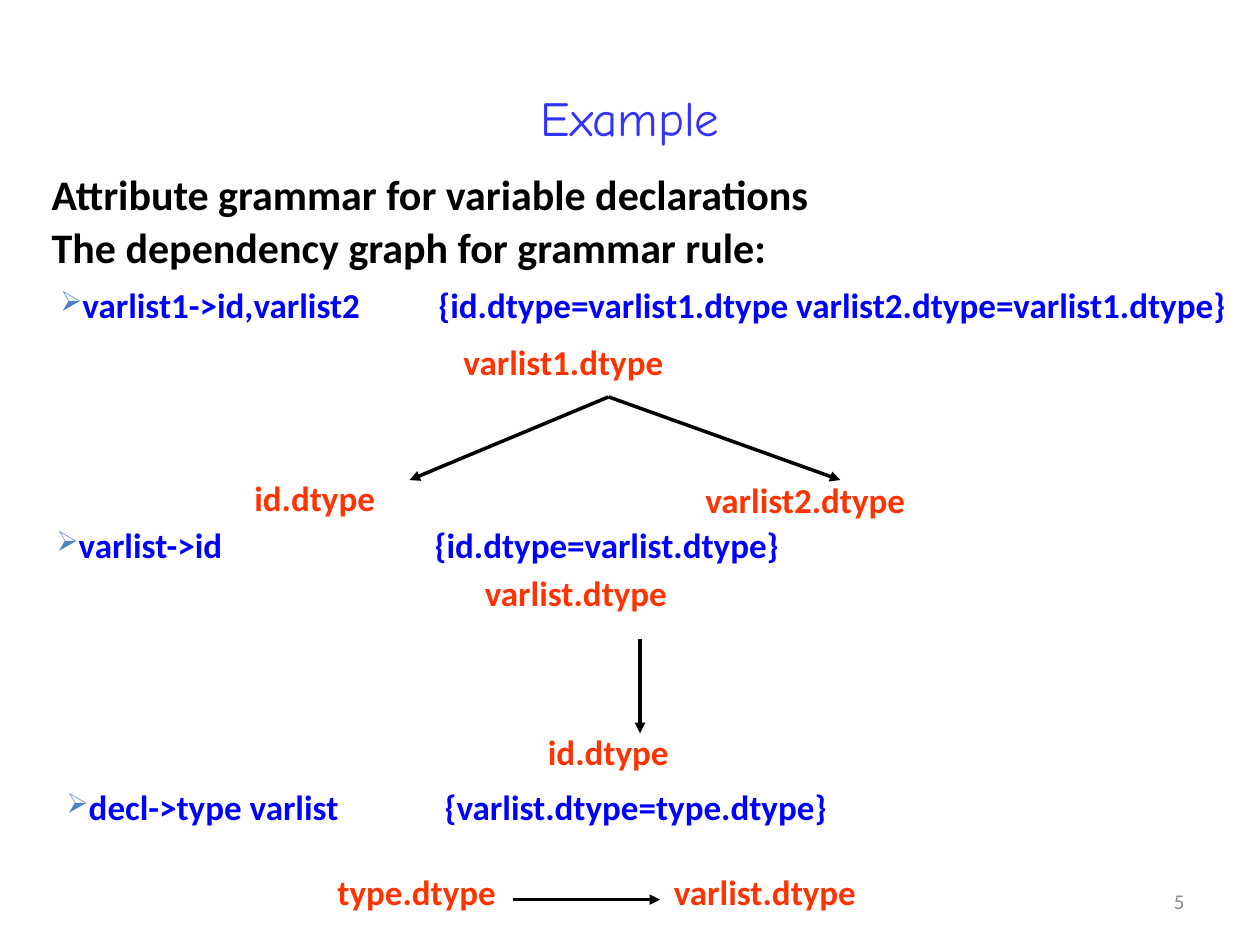
"""Build a slide of dependency graphs for an attribute grammar."""
import dataclasses
import typing

import lxml.etree
import pptx
import pptx.dml.color
import pptx.enum.shapes
import pptx.enum.text
import pptx.oxml.ns
import pptx.util

Inches = pptx.util.Inches
Pt = pptx.util.Pt
Align = pptx.enum.text.PP_ALIGN
Anchor = pptx.enum.text.MSO_ANCHOR

COLORS = {"head": "3333FF", "text": "000000", "node": "FF3300", "rule": "0000FF",
          "mark": "4F81BD", "page": "8C8C8C"}
FONTS = {
    "head": {"name": "Comic Neue", "size": Pt(28), "bold": False},
    "text": {"name": "Calibri", "size": Pt(24), "bold": True},
    "node": {"name": "Calibri", "size": Pt(20), "bold": True},
    "rule": {"name": "Calibri", "size": Pt(20), "bold": True},
    "page": {"name": "Calibri", "size": Pt(12), "bold": False},
}


@dataclasses.dataclass
class Label:
    text: str
    left: float
    top: float
    width: float
    height: float = 0.44


@dataclasses.dataclass
class Arrow:
    start: tuple[float, float]
    end: tuple[float, float]


RULES = [
    Label("varlist1->id,varlist2\t{id.dtype=varlist1.dtype varlist2.dtype=varlist1.dtype}",
          0.38, 2.24, 9.49, 0.4),
    Label("varlist->id\t{id.dtype=varlist.dtype}", 0.35, 4.14, 8.42, 0.4),
    Label("decl->type varlist\t{varlist.dtype=type.dtype}", 0.43, 6.22, 8.58, 0.4),
]
NODES = [
    Label("varlist1.dtype", 3.58, 2.65, 2.92),
    Label("id.dtype", 1.92, 3.73, 2.5),
    Label("varlist2.dtype", 5.5, 3.75, 2.5),
    Label("varlist.dtype", 3.75, 4.49, 2.5),
    Label("id.dtype", 4.25, 5.75, 1.75),
    Label("type.dtype", 2.58, 6.86, 2.5),
    Label("varlist.dtype", 5.25, 6.86, 2.5),
]
ARROWS = [
    Arrow((4.83, 3.15), (3.25, 3.81)),
    Arrow((4.83, 3.15), (6.67, 3.81)),
    Arrow((5.08, 5.07), (5.08, 5.82)),
    Arrow((4.07, 7.14), (5.24, 7.14)),
]


def add_tag(parent: typing.Any, tag: str, **attrs: str) -> typing.Any:
    return lxml.etree.SubElement(parent, pptx.oxml.ns.qn(tag), attrs)


def set_all(item: typing.Any, values: dict[str, typing.Any]) -> None:
    for key, value in values.items():
        setattr(item, key, value)


def set_font(para: typing.Any, kind: str) -> None:
    set_all(para.font, FONTS[kind])
    para.font.color.rgb = pptx.dml.color.RGBColor.from_string(COLORS[kind])


def place(shape: typing.Any, label: Label) -> None:
    for side in ("left", "top", "width", "height"):
        setattr(shape, side, Inches(getattr(label, side)))


def add_text(slide: typing.Any, label: Label) -> typing.Any:
    box = slide.shapes.add_textbox(0, 0, 0, 0)
    place(box, label)
    box.text_frame.word_wrap = True
    box.text_frame.text = label.text
    return box.text_frame


def add_node(slide: typing.Any, label: Label) -> None:
    set_font(add_text(slide, label).paragraphs[0], "node")


def add_rule(slide: typing.Any, label: Label) -> None:
    para = add_text(slide, label).paragraphs[0]
    props = para._p.get_or_add_pPr()
    add_tag(add_tag(props, "a:buClr"), "a:srgbClr", val=COLORS["mark"])
    add_tag(props, "a:buSzPct", val="80000")
    add_tag(props, "a:buChar", char="➢")
    add_tag(add_tag(props, "a:tabLst"), "a:tab", pos=str(Inches(3)), algn="l")
    para.line_spacing = 0.9
    set_font(para, "rule")


def add_arrow(slide: typing.Any, arrow: Arrow) -> None:
    ends = [Inches(value) for value in (*arrow.start, *arrow.end)]
    line = slide.shapes.add_connector(pptx.enum.shapes.MSO_CONNECTOR.STRAIGHT, *ends)
    line.line.width = Pt(2)
    line.line.color.rgb = pptx.dml.color.RGBColor.from_string(COLORS["text"])
    add_tag(line.get_or_add_ln(), "a:tailEnd", type="triangle")
    add_tag(line._element.spPr, "a:effectLst")


def fill_head(slide: typing.Any) -> None:
    title = slide.shapes.title
    place(title, Label("", 0.5, 0.3, 9, 1.25))
    title.text_frame.text = "Example"
    title.text_frame.vertical_anchor = Anchor.MIDDLE
    para = title.text_frame.paragraphs[0]
    para.alignment = Align.CENTER
    set_font(para, "head")


def fill_body(slide: typing.Any) -> None:
    body = slide.placeholders[1]
    place(body, Label("", 0.31, 1.33, 9.47, 0.93))
    frame = body.text_frame
    frame.text = ("Attribute grammar for variable declarations\n"
                  "The dependency graph for grammar rule:")
    frame.auto_size = pptx.enum.text.MSO_AUTO_SIZE.NONE
    for index, para in enumerate(frame.paragraphs):
        props = para._p.get_or_add_pPr()
        props.set("marL", str(Inches(0.38)))
        props.set("indent", str(Inches(-0.38)))
        add_tag(props, "a:buNone")
        set_all(para, {"line_spacing": 0.9, "space_before": Pt(4.8 * index)})
        set_font(para, "text")


def add_page(slide: typing.Any) -> None:
    frame = add_text(slide, Label("5", 7.17, 6.95, 2.33, 0.4))
    frame.vertical_anchor = Anchor.MIDDLE
    frame.paragraphs[0].alignment = Align.RIGHT
    set_font(frame.paragraphs[0], "page")


def main() -> None:
    deck = pptx.Presentation()
    set_all(deck, {"slide_width": Inches(10), "slide_height": Inches(7.5)})
    slide = deck.slides.add_slide(deck.slide_layouts[1])
    fill_head(slide)
    fill_body(slide)
    for draw, items in ((add_rule, RULES), (add_node, NODES), (add_arrow, ARROWS)):
        for item in items:
            draw(slide, item)
    add_page(slide)
    deck.save("out.pptx")


if __name__ == "__main__":
    main()
